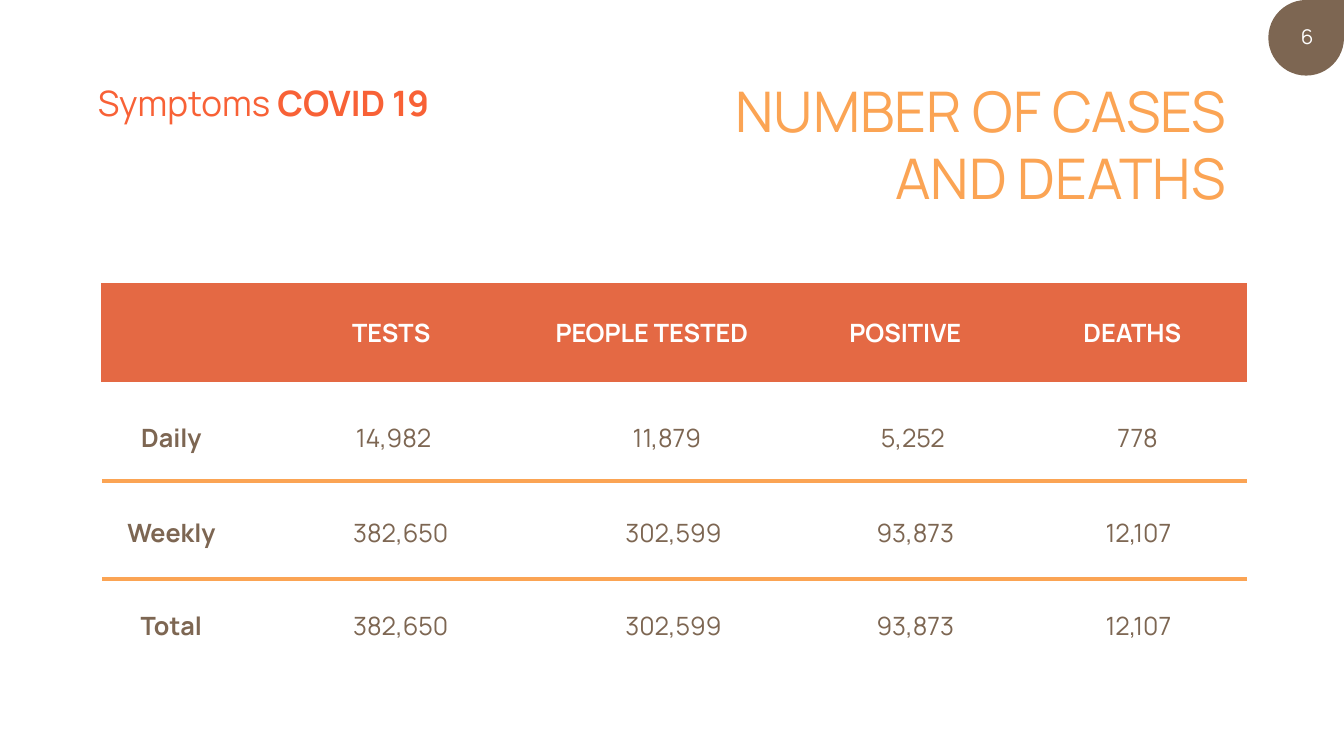
from lxml.etree import SubElement
from pptx import Presentation
from pptx.dml.color import RGBColor
from pptx.enum.shapes import MSO_CONNECTOR, MSO_SHAPE
from pptx.enum.text import MSO_ANCHOR, MSO_AUTO_SIZE, PP_ALIGN
from pptx.oxml.ns import qn
from pptx.util import Inches, Pt

WIDTH, HEIGHT = 26.66, 15
FONT = "Manrope"
BROWN, RED, CORAL, ORANGE, WHITE = "7D6652", "F86136", "E46944", "FBA454", "FFFFFF"
NO_STYLE = "{2D5ABB26-0587-4C30-8999-92F81FD0307C}"

ROWS = [
    ["", "TESTS", "PEOPLE TESTED", "POSITIVE", "DEATHS"],
    ["Daily", "14,982", "11,879", "5,252", "778"],
    ["Weekly", "382,650", "302,599", "93,873", "12,107"],
    ["Total", "382,650", "302,599", "93,873", "12,107"],
]
COL_WIDTHS = [11.48, 21.68, 18.9, 17.1, 16.09]
ROW_HEIGHTS = [13.07, 13.2, 12.87, 12.4]
LEFT_SHIFTS = [[0, 0.71, 1.61, 0.75, 0.45], [0.49, 0.53, 0.49, 0.19, 0.06]] + [[0.49, 0, 0, 0, 0]] * 2
DOWN_SHIFTS = [0.05, 0.83, 0.43, 0]


def rgb(value):
    return RGBColor.from_string(value)


class Deck:
    """Holds the style and current slide; lengths are percent of the slide size."""

    def __init__(self):
        self.prs = Presentation()
        self.prs.slide_width, self.prs.slide_height = Inches(WIDTH), Inches(HEIGHT)
        self.s = self.prs.slides.add_slide(self.prs.slide_layouts[6])

    def x(self, cols):
        return Inches(WIDTH * cols / 100)

    def y(self, rows):
        return Inches(HEIGHT * rows / 100)

    def area(self, left, top, width, height):
        return self.x(left), self.y(top), self.x(width), self.y(height)

    def run(self, p, text, size, color, bold=False):
        r = p.add_run()
        r.text = text
        r.font.name, r.font.size, r.font.bold = FONT, Pt(size), bold
        r.font.color.rgb = rgb(color)

    def shape(self, kind, area, fill):
        sp = self.s.shapes.add_shape(kind, *self.area(*area))
        sp.shadow.inherit = False
        sp.fill.solid()
        sp.fill.fore_color.rgb = rgb(fill)
        sp.line.fill.background()

    def rule(self, left, right, top):
        y = self.y(top)
        line = self.s.shapes.add_connector(MSO_CONNECTOR.STRAIGHT, self.x(left), y, self.x(right), y)
        line.line.color.rgb = rgb(ORANGE)
        line.line.width = Pt(6)
        SubElement(line._element.spPr, qn("a:effectLst"))

    def text(self, area, runs, size, color, align=PP_ALIGN.CENTER, wrap=False):
        tf = self.s.shapes.add_textbox(*self.area(*area)).text_frame
        tf.word_wrap = wrap
        tf.auto_size = MSO_AUTO_SIZE.SHAPE_TO_FIT_TEXT
        p = tf.paragraphs[0]
        p.alignment = align
        for text, bold in runs:
            self.run(p, text, size, color, bold)

    def cell(self, cell, text, header, bold, left_shift, down_shift):
        if header:
            cell.fill.solid()
            cell.fill.fore_color.rgb = rgb(CORAL)
        else:
            cell.fill.background()
        cell.vertical_anchor = MSO_ANCHOR.MIDDLE
        cell.margin_left = cell.margin_bottom = 0
        cell.margin_right, cell.margin_top = self.x(2 * left_shift), self.y(2 * down_shift)
        p = cell.text_frame.paragraphs[0]
        p.alignment = PP_ALIGN.CENTER
        if text:
            self.run(p, text, 36, WHITE if header else BROWN, bold)

    def table(self, left, top):
        area = self.area(left, top, sum(COL_WIDTHS), sum(ROW_HEIGHTS))
        table = self.s.shapes.add_table(len(ROWS), len(COL_WIDTHS), *area).table
        table.horz_banding = False
        table._tbl.tblPr.find(qn("a:tableStyleId")).text = NO_STYLE
        for column, width in zip(table.columns, COL_WIDTHS):
            column.width = self.x(width)
        for i, (row, height) in enumerate(zip(table.rows, ROW_HEIGHTS)):
            row.height = self.y(height)
            for j, text in enumerate(ROWS[i]):
                self.cell(row.cells[j], text, i == 0, i == 0 or j == 0,
                          LEFT_SHIFTS[i][j], DOWN_SHIFTS[i])
        for count in (2, 3):
            self.rule(left + 0.11, left + sum(COL_WIDTHS), top + sum(ROW_HEIGHTS[:count]))


def main():
    deck = Deck()
    deck.shape(MSO_SHAPE.TEAR, (94.37, 0, 5.63, 10), BROWN)
    deck.text((94.99, 2.87, 4.54, 4.73), [("6", False)], 29, WHITE)
    deck.text((6.68, 10.4, 25.88, 6.27), [("Symptoms ", False), ("COVID 19", True)], 50, RED)
    deck.text((46.32, 9.8, 45.27, 18.6), [("NUMBER OF CASES AND DEATHS", False)], 80, ORANGE,
              PP_ALIGN.RIGHT, wrap=True)
    deck.table(7.5, 37.4)
    deck.prs.save("out.pptx")


if __name__ == "__main__":
    main()
